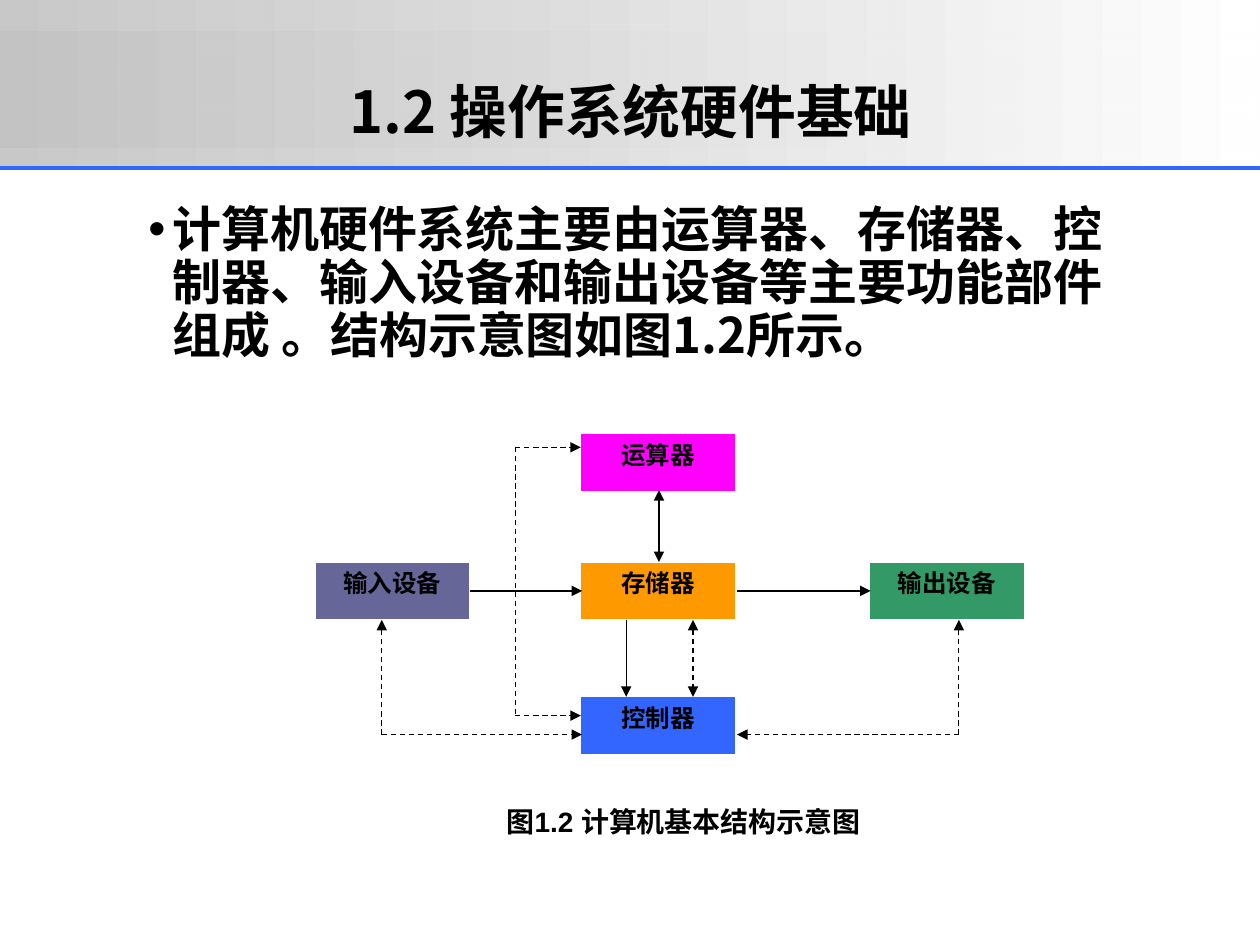
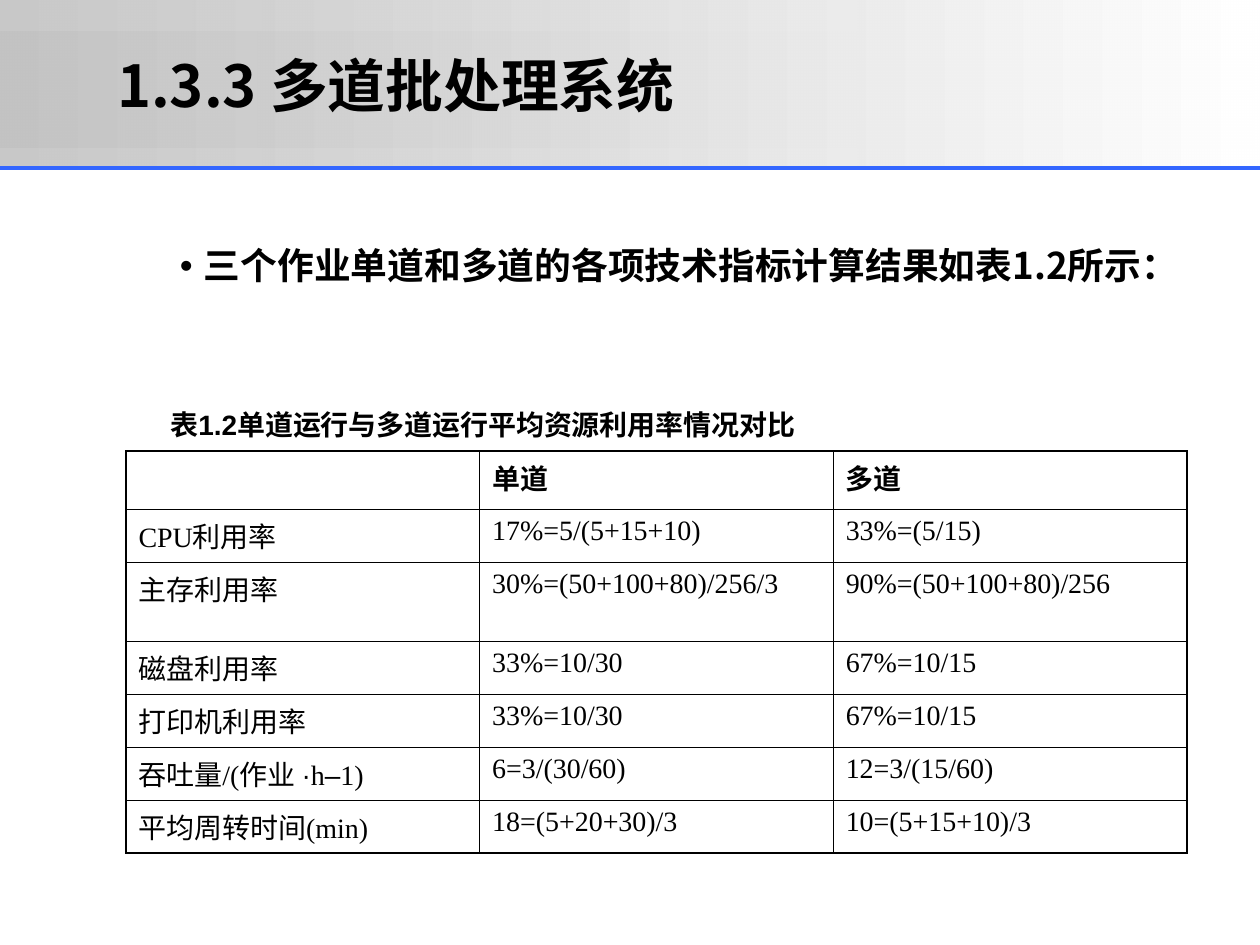
from lxml.etree import SubElement
from pptx import Presentation
from pptx.dml.color import RGBColor
from pptx.enum.dml import MSO_LINE
from pptx.enum.shapes import MSO_CONNECTOR, MSO_SHAPE
from pptx.enum.text import MSO_ANCHOR, MSO_AUTO_SIZE, PP_ALIGN
from pptx.oxml.ns import qn
from pptx.util import Inches, Pt

BLACK = RGBColor(0x00, 0x00, 0x00)
WHITE = RGBColor(0xFF, 0xFF, 0xFF)
SILVER = RGBColor(0xC0, 0xC0, 0xC0)
BLUE = RGBColor(0x33, 0x66, 0xFF)
ORANGE = RGBColor(0xFF, 0x99, 0x00)
GREEN = RGBColor(0x33, 0x99, 0x66)
SLATE = RGBColor(0x66, 0x66, 0x99)
MAGENTA = RGBColor(0xFF, 0x00, 0xFF)

HAN = "Noto Sans CJK SC"
SERIF = "Times New Roman"
SANS = "Arial"

UNIT_W, UNIT_H = 1.23, 0.46
UNITS = [
    ("存储器", 4.61, 4.46, ORANGE),
    ("输出设备", 6.9, 4.46, GREEN),
    ("输入设备", 2.5, 4.46, SLATE),
    ("运算器", 4.61, 3.44, MAGENTA),
    ("控制器", 4.61, 5.53, BLUE),
]
DATA_FLOWS = [
    ((3.73, 4.69), (4.62, 4.69), "tail"),
    ((5.85, 4.69), (6.91, 4.69), "tail"),
    ((4.97, 4.92), (4.97, 5.53), "tail"),
    ((5.23, 3.89), (5.23, 4.46), "both"),
]
CONTROL_FLOWS = [
    ((5.5, 4.92), (5.5, 5.53), "both"),
    ((3.03, 5.83), (3.03, 4.92), "tail"),
    ((3.03, 5.83), (4.62, 5.83), "tail"),
    ((7.61, 5.83), (7.61, 4.92), "tail"),
    ((7.61, 5.83), (5.85, 5.83), "tail"),
    ((4.09, 3.55), (4.09, 5.68), "none"),
    ((4.09, 3.55), (4.61, 3.55), "tail"),
    ((4.09, 5.68), (4.61, 5.68), "tail"),
]
ARROW_ENDS = {"none": [], "tail": ["a:tailEnd"], "both": ["a:headEnd", "a:tailEnd"]}

THROUGHPUT = [("吞吐量/(作业 ", SERIF), ("·", SANS), ("h", SERIF), ("–", SANS), ("1)", SERIF)]
INDICATORS = [
    ["", "单道", "多道"],
    ["CPU利用率", "17%=5/(5+15+10)", "33%=(5/15)"],
    ["主存利用率", "30%=(50+100+80)/256/3", "90%=(50+100+80)/256"],
    ["磁盘利用率", "33%=10/30", "67%=10/15"],
    ["打印机利用率", "33%=10/30", "67%=10/15"],
    [THROUGHPUT, "6=3/(30/60)", "12=3/(15/60)"],
    ["平均周转时间(min)", "18=(5+20+30)/3", "10=(5+15+10)/3"],
]
ROW_HEIGHTS = [0.46, 0.42, 0.63, 0.42, 0.42, 0.42, 0.42]


def inches(*lengths):
    """Convert several lengths to Inches."""
    return [Inches(v) for v in lengths]


def add_run(p, text, size, font, bold=True):
    """Append a formatted black run to a paragraph."""
    r = p.add_run()
    r.text = text
    r.font.size = Pt(size)
    r.font.bold = bold
    r.font.name = font
    r.font.color.rgb = BLACK
    SubElement(r.font._element, qn("a:ea"), typeface=HAN)


def add_line(shapes, start, end, color=BLACK, width=0.75, arrows="none", dashed=False):
    """Draw a straight line with optional arrowheads."""
    line = shapes.add_connector(MSO_CONNECTOR.STRAIGHT, *inches(*start, *end))
    line.line.color.rgb = color
    line.line.width = Pt(width)
    if dashed:
        line.line.dash_style = MSO_LINE.DASH
    spPr = line._element.spPr
    for tag in ARROW_ENDS[arrows]:
        SubElement(spPr.find(qn("a:ln")), qn(tag), type="triangle")
    SubElement(spPr, qn("a:effectLst"))
    return line


def add_band(s, top, height, opacity):
    """Draw a full-width band fading from silver to white."""
    sp = s.shapes.add_shape(MSO_SHAPE.RECTANGLE, *inches(0, top, 10, height))
    sp.shadow.inherit = False
    sp.line.fill.background()
    sp.fill.gradient()
    sp.fill.gradient_angle = 0
    for stop, color, position in zip(sp.fill.gradient_stops, (SILVER, WHITE), (0, 1)):
        stop.color.rgb = color
        stop.position = position
    silver = sp._element.spPr.find(".//" + qn("a:srgbClr"))
    SubElement(silver, qn("a:alpha"), val=str(opacity * 1000))
    return sp


def decorate_layout(layout, s):
    """Draw the header on a slide and hand it to its layout."""
    header = [
        add_band(s, 0, 1.33, 86),
        add_band(s, 0.25, 0.92, 59),
        add_line(s.shapes, (0, 1.33), (10, 1.33), BLUE, 2.25),
    ]
    for index, sp in enumerate(header, start=2):
        layout.shapes._spTree.insert(index, sp._element)


def set_title(s, text, box, align):
    """Place and fill the title placeholder."""
    title = s.shapes.title
    title.left, title.top, title.width, title.height = inches(*box)
    tf = title.text_frame
    tf.auto_size = MSO_AUTO_SIZE.NONE
    tf.vertical_anchor = MSO_ANCHOR.MIDDLE
    p = tf.paragraphs[0]
    p.alignment = align
    p.line_spacing = 0.9
    add_run(p, text, 33, HAN)


def add_bullet(s, text, box, size):
    """Add a text box with one bulleted paragraph."""
    tf = s.shapes.add_textbox(*inches(*box)).text_frame
    tf.word_wrap = True
    p = tf.paragraphs[0]
    pPr = p._p.get_or_add_pPr()
    pPr.set("marL", str(Inches(0.19)))
    pPr.set("indent", str(-Inches(0.19)))
    SubElement(SubElement(pPr, qn("a:buClr")), qn("a:srgbClr"), val=str(BLACK))
    SubElement(pPr, qn("a:buFont"), typeface=SANS)
    SubElement(pPr, qn("a:buChar"), char="•")
    p.line_spacing = 0.9
    add_run(p, text, size, HAN)


def add_caption(s, text, box):
    """Add a centred one-line caption."""
    tf = s.shapes.add_textbox(*inches(*box)).text_frame
    tf.word_wrap = False
    tf.vertical_anchor = MSO_ANCHOR.MIDDLE
    p = tf.paragraphs[0]
    p.alignment = PP_ALIGN.CENTER
    add_run(p, text, 16, SANS)


def add_unit(shapes, name, left, top, color):
    """Draw one hardware unit as a labelled box."""
    sp = shapes.add_shape(MSO_SHAPE.RECTANGLE, *inches(left, top, UNIT_W, UNIT_H))
    sp.shadow.inherit = False
    sp.fill.solid()
    sp.fill.fore_color.rgb = color
    sp.line.color.rgb = WHITE
    sp.line.width = Pt(0.75)
    tf = sp.text_frame
    tf.vertical_anchor = MSO_ANCHOR.TOP
    p = tf.paragraphs[0]
    p.alignment = PP_ALIGN.CENTER
    add_run(p, name, 14, SERIF)


def add_structure(s):
    """Draw the grouped computer structure diagram."""
    shapes = s.shapes.add_group_shape().shapes
    for unit in UNITS:
        add_unit(shapes, *unit)
    for flows, dashed in ((DATA_FLOWS, False), (CONTROL_FLOWS, True)):
        for start, end, arrows in flows:
            add_line(shapes, start, end, arrows=arrows, dashed=dashed)


def set_borders(cell, outer):
    """Border a cell, heavier on the outer sides of the table."""
    tcPr = cell._tc.get_or_add_tcPr()
    for side in "LRTB":
        width = Pt(0.96 if side in outer else 0.45)
        ln = SubElement(tcPr, qn(f"a:ln{side}"), w=str(width))
        SubElement(SubElement(ln, qn("a:solidFill")), qn("a:srgbClr"), val=str(BLACK))


def add_indicators(s):
    """Add the table comparing single and multiple programming."""
    rows, cols = len(INDICATORS), len(INDICATORS[0])
    box = inches(1, 3.58, 8.42, sum(ROW_HEIGHTS))
    table = s.shapes.add_table(rows, cols, *box).table
    table.first_row = table.horz_banding = False
    for row, height in zip(table.rows, ROW_HEIGHTS):
        row.height = Inches(height)
    for i, values in enumerate(INDICATORS):
        for j, value in enumerate(values):
            cell = table.cell(i, j)
            edges = {"L": j == 0, "R": j == cols - 1, "T": i == 0, "B": i == rows - 1}
            set_borders(cell, [side for side, is_outer in edges.items() if is_outer])
            cell.fill.background()
            runs = [(value, SERIF)] if isinstance(value, str) else value
            for text, font in runs:
                if text:
                    add_run(cell.text_frame.paragraphs[0], text, 16, font, bold=i == 0)


def main():
    """Build both slides and save them."""
    prs = Presentation()
    prs.slide_width, prs.slide_height = inches(10, 7.5)
    layout = prs.slide_layouts[5]

    s = prs.slides.add_slide(layout)
    decorate_layout(layout, s)
    set_title(s, "1.2 操作系统硬件基础", (0.69, 0.4, 8.63, 1.02), PP_ALIGN.CENTER)
    add_bullet(s, "计算机硬件系统主要由运算器、存储器、控制器、输入设备和输出设备等"
                  "主要功能部件组成 。结构示意图如图1.2所示。", (1.08, 1.58, 8, 4.95), 28)
    add_structure(s)
    add_caption(s, "图1.2 计算机基本结构示意图", (3.87, 6.33, 3.11, 0.37))

    s = prs.slides.add_slide(layout)
    set_title(s, "1.3.3 多道批处理系统", (0.83, 0.08, 8.17, 1.25), PP_ALIGN.LEFT)
    add_bullet(s, "三个作业单道和多道的各项技术指标计算结果如表1.2所示：",
               (1.33, 1.92, 7.92, 4.95), 21)
    add_indicators(s)
    add_caption(s, "表1.2单道运行与多道运行平均资源利用率情况对比", (1.2, 3.18, 5.27, 0.37))

    prs.save("out.pptx")


if __name__ == "__main__":
    main()
